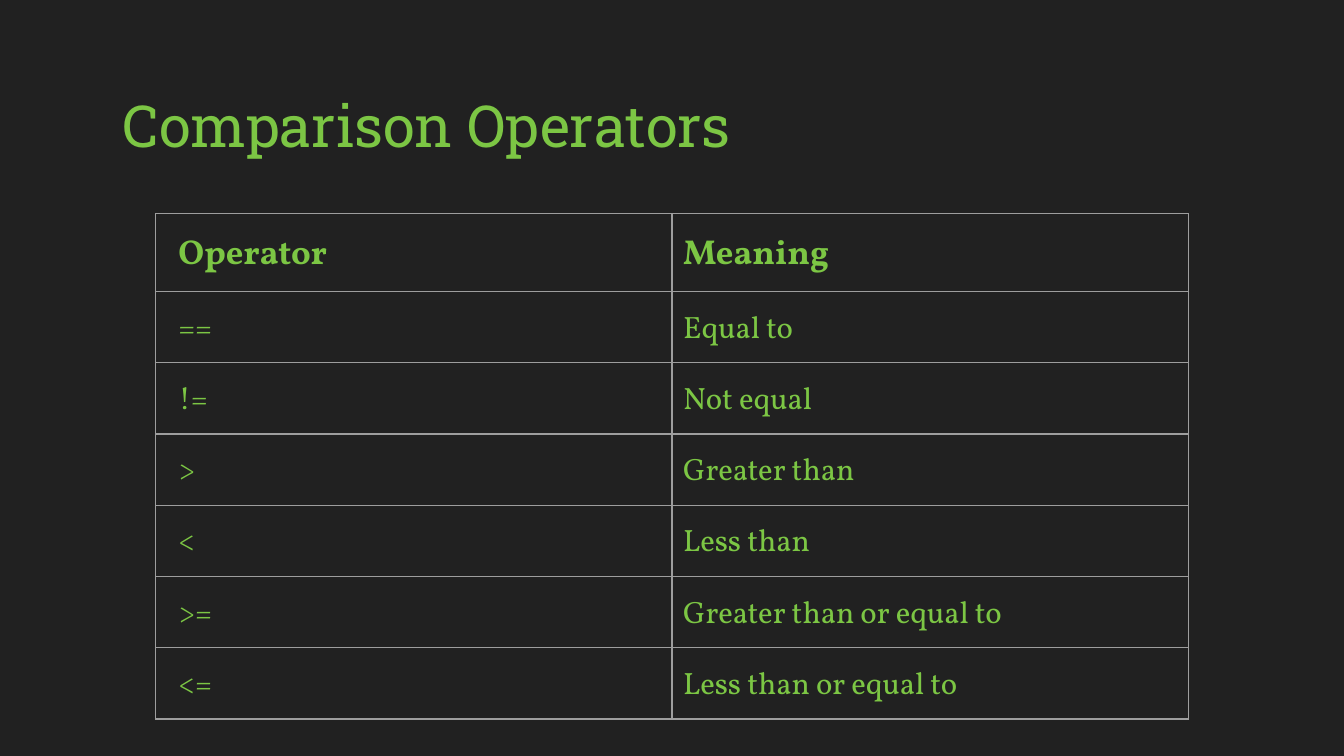
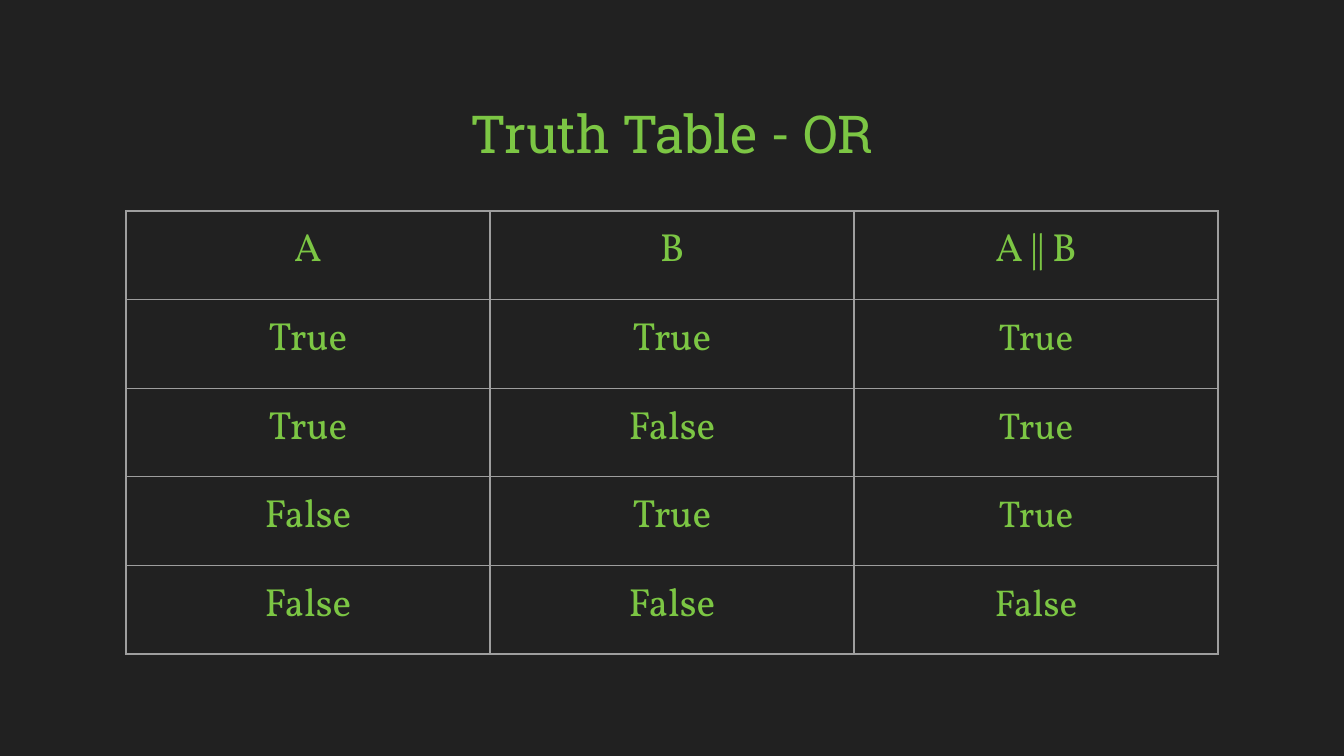
from dataclasses import dataclass

from lxml.etree import SubElement
from pptx import Presentation
from pptx.dml.color import RGBColor
from pptx.enum.text import MSO_ANCHOR, MSO_AUTO_SIZE, PP_ALIGN
from pptx.oxml.ns import qn
from pptx.slide import Slide
from pptx.table import _Cell
from pptx.text.text import TextFrame
from pptx.util import Pt


@dataclass(frozen=True)
class Theme:
    back: str = "212121"
    ink: str = "7CC644"
    rule: str = "9E9E9E"
    line: float = 0.75
    head: str = "Roboto Slab"
    body: str = "Vollkorn"
    title: float = 31
    title_mid: float = 28
    label: float = 18.5
    cell: float = 16.5
    truth: float = 21
    result: float = 20


@dataclass(frozen=True)
class Box:
    left: float
    top: float
    width: float
    height: float


@dataclass(frozen=True)
class Grid:
    left: float
    top: float
    col: float
    row: float
    rows: list[tuple[str, ...]]
    pads: tuple[float, ...]  # left inset of each column
    pad: float               # every other inset
    size: float
    label: float             # size of the first row
    bold: bool = False       # weight of the first row
    space: float | None = None
    align: PP_ALIGN = PP_ALIGN.LEFT


THEME = Theme()
PAD = 7.2


def write(frame: TextFrame, text: str, *, size: float, font: str = THEME.body,
          bold: bool = False, align: PP_ALIGN = PP_ALIGN.LEFT,
          space: float | None = None) -> None:
    par = frame.paragraphs[0]
    par.alignment = align
    if space:
        par.line_spacing = space
    run = par.add_run()
    run.text = text
    run.font.name = font
    run.font.size = Pt(size)
    run.font.bold = bold
    run.font.color.rgb = RGBColor.from_string(THEME.ink)


def inset(frame: TextFrame) -> None:
    frame.margin_left = frame.margin_right = Pt(PAD)
    frame.margin_top = frame.margin_bottom = Pt(PAD)
    frame.vertical_anchor = MSO_ANCHOR.TOP
    frame.word_wrap = True


def head(slide: Slide, text: str, box: Box, size: float,
         align: PP_ALIGN = PP_ALIGN.LEFT) -> None:
    shape = slide.shapes.title
    shape.left, shape.top = Pt(box.left), Pt(box.top)
    shape.width, shape.height = Pt(box.width), Pt(box.height)
    inset(shape.text_frame)
    shape.text_frame.auto_size = MSO_AUTO_SIZE.NONE
    write(shape.text_frame, text, size=size, font=THEME.head, align=align)


def label(slide: Slide, text: str, box: Box) -> None:
    shape = slide.shapes.add_textbox(
        Pt(box.left), Pt(box.top), Pt(box.width), Pt(box.height))
    inset(shape.text_frame)
    shape.text_frame.auto_size = MSO_AUTO_SIZE.SHAPE_TO_FIT_TEXT
    write(shape.text_frame, text, size=THEME.result, align=PP_ALIGN.CENTER)


def border(cell: _Cell) -> None:
    props = cell._tc.get_or_add_tcPr()
    for side in ("a:lnL", "a:lnR", "a:lnT", "a:lnB"):
        line = SubElement(props, qn(side), w=str(Pt(THEME.line)))
        fill = SubElement(line, qn("a:solidFill"))
        SubElement(fill, qn("a:srgbClr"), val=THEME.rule)


def draw(slide: Slide, grid: Grid) -> None:
    rows, cols = len(grid.rows), len(grid.pads)
    table = slide.shapes.add_table(
        rows, cols, Pt(grid.left), Pt(grid.top),
        Pt(grid.col * cols), Pt(grid.row * rows)).table
    table.first_row = table.horz_banding = False
    for col in table.columns:
        col.width = Pt(grid.col)
    for i, texts in enumerate(grid.rows):
        table.rows[i].height = Pt(grid.row)
        for j, text in enumerate(texts):
            cell = table.cell(i, j)
            border(cell)
            cell.fill.background()
            cell.margin_left = Pt(grid.pads[j])
            cell.margin_right = Pt(grid.pad)
            cell.margin_top = cell.margin_bottom = Pt(grid.pad)
            if text:
                write(cell.text_frame, text, space=grid.space, align=grid.align,
                      size=grid.size if i else grid.label,
                      bold=grid.bold and i == 0)


# Comparison operators
SIGNS = Grid(
    left=83.5, top=114.5, col=276.5, row=34.5, pads=(12, 6), pad=6,
    size=THEME.cell, label=THEME.label, bold=True, space=1.15,
    rows=[
        ("Operator", "Meaning"),
        ("==", "Equal to"),
        ("!=", "Not equal"),
        (">", "Greater than"),
        ("<", "Less than"),
        (">=", "Greater than or equal to"),
        ("<=", "Less than or equal to"),
    ])

# Truth table; the results sit in boxes over the last column
TRUTH = Grid(
    left=67.5, top=113, col=195, row=47.5, pads=(PAD,) * 3, pad=PAD,
    size=THEME.truth, label=THEME.truth, align=PP_ALIGN.CENTER,
    rows=[
        ("A", "B", "A || B"),
        ("True", "True", ""),
        ("True", "False", ""),
        ("False", "True", ""),
        ("False", "False", ""),
    ])
RESULTS = ("True", "True", "True", "False")


def main() -> None:
    prs = Presentation()
    prs.slide_width, prs.slide_height = Pt(720), Pt(405)
    fill = prs.slide_master.background.fill
    fill.solid()
    fill.fore_color.rgb = RGBColor.from_string(THEME.back)
    plain = prs.slide_layouts.get_by_name("Title Only")

    # Slide 1
    slide = prs.slides.add_slide(plain)
    head(slide, "Comparison Operators", Box(58.5, 41, 363.5, 50.5), THEME.title)
    draw(slide, SIGNS)

    # Slide 2
    slide = prs.slides.add_slide(plain)
    head(slide, "Truth Table - OR", Box(201, 47, 318, 54), THEME.title_mid,
         PP_ALIGN.CENTER)
    draw(slide, TRUTH)
    left = TRUTH.left + 2 * TRUTH.col
    for i, text in enumerate(RESULTS):
        label(slide, text, Box(left, 160.5 + i * TRUTH.row, TRUTH.col, 39))

    prs.save("out.pptx")


if __name__ == "__main__":
    main()
